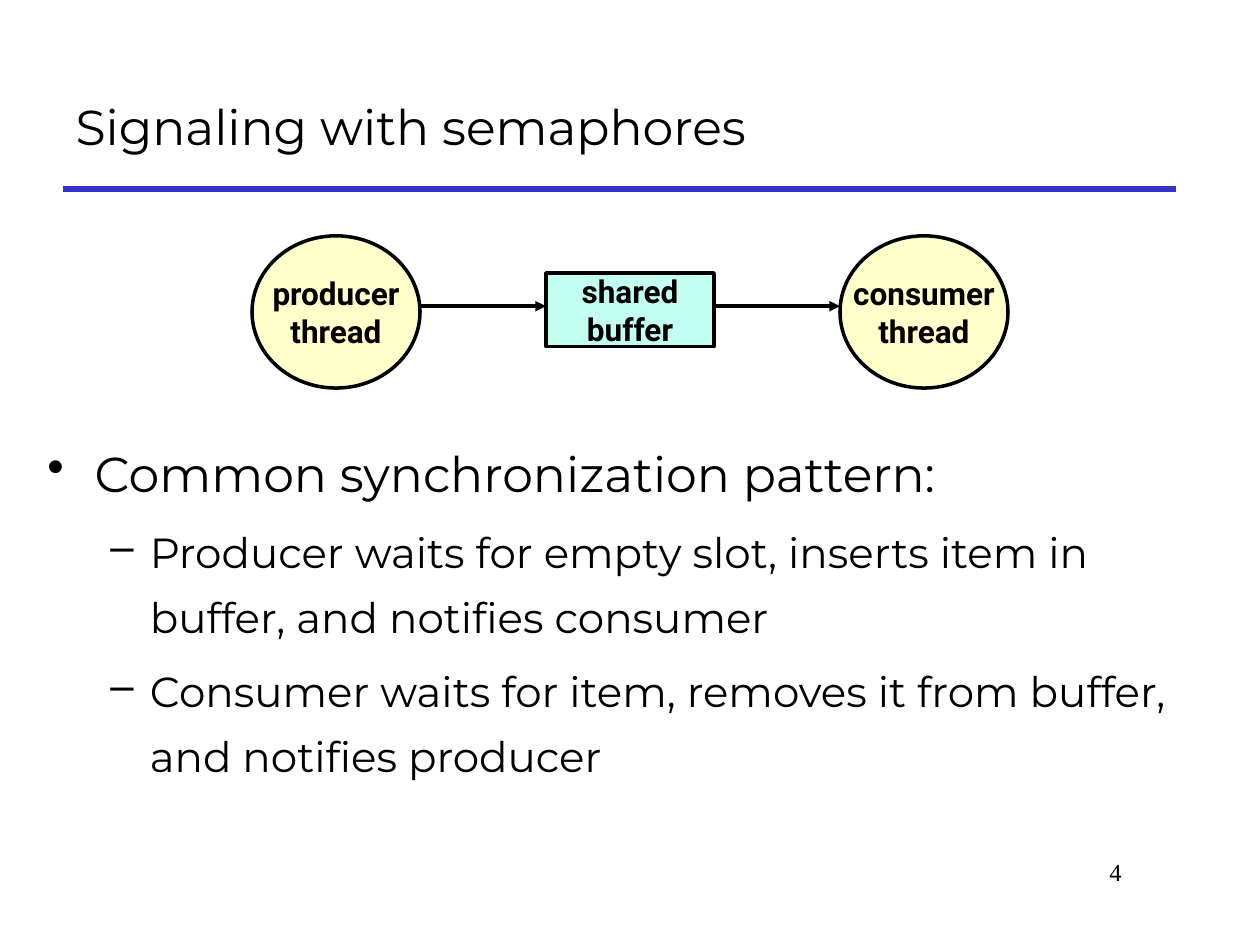
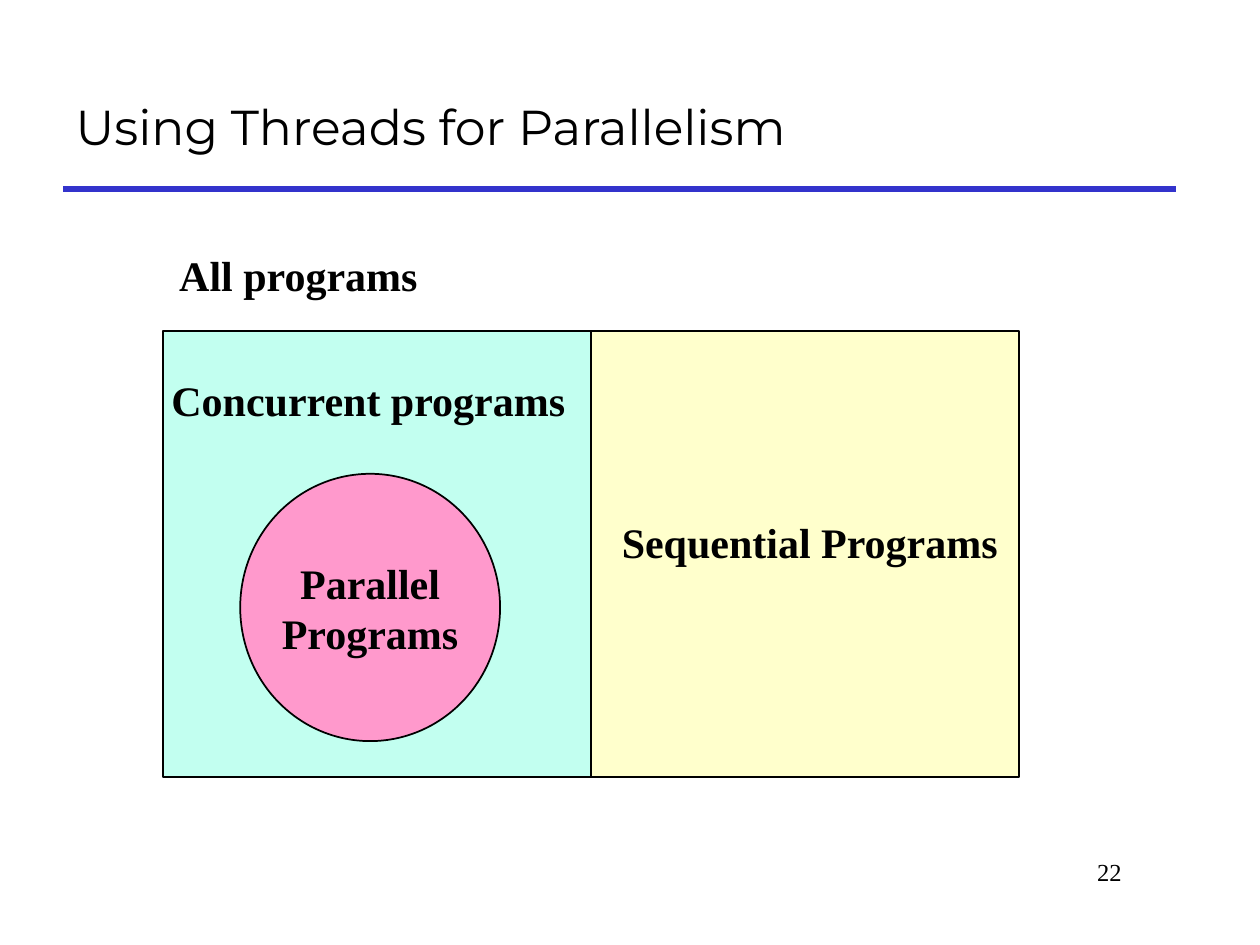
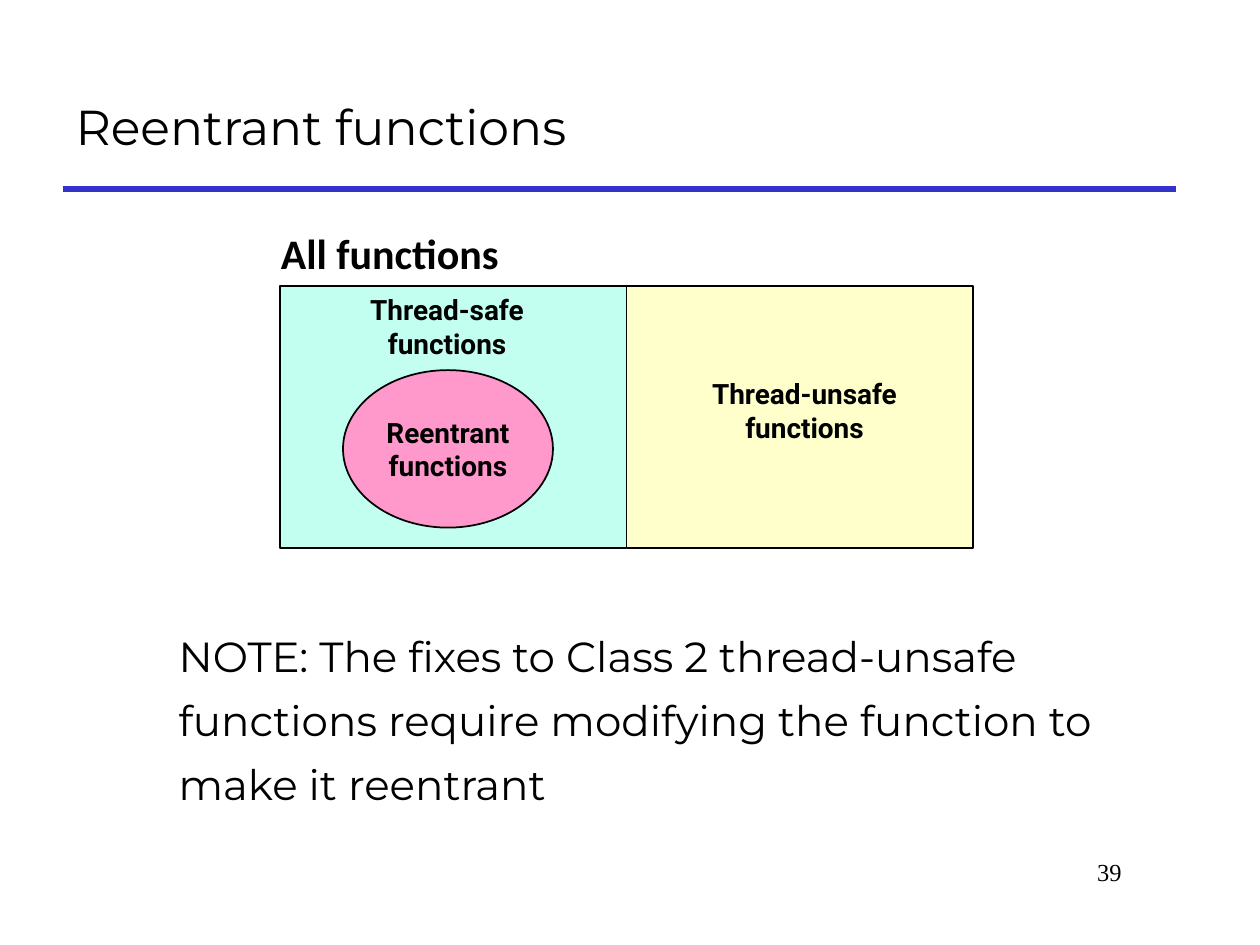
import pptx
import pptx.dml.color
import pptx.enum.shapes
import pptx.enum.text
import pptx.oxml
import pptx.oxml.ns
import pptx.util

Pt = pptx.util.Pt
RGB = pptx.dml.color.RGBColor.from_string
SHAPE = pptx.enum.shapes.MSO_SHAPE
ALIGN = pptx.enum.text.PP_ALIGN
MIDDLE = pptx.enum.text.MSO_ANCHOR.MIDDLE
A_NS = pptx.oxml.ns.nsdecls("a")


class Theme:
    ink = RGB("000000")
    rule = RGB("3333CC")
    yellow = RGB("FFFFCC")
    mint = RGB("C2FFF0")
    pink = RGB("FF99CC")
    heading_font = "Montserrat"
    label_font = "Roboto"
    serif_font = "Times New Roman"
    sans_font = "Calibri"
    heading_size = 28
    body_size = 24
    node_size = 18
    label_size = 16
    number_size = 14


def add_text(s, box, text, font, size, kind=None, fill=None, line=1,
             align=ALIGN.CENTER, bold=True, wrap=False):
    """Add a text box, or a filled and outlined shape when a kind is given."""
    box = [Pt(v) for v in box]
    if kind is None:
        sp = s.shapes.add_textbox(*box)
    else:
        sp = s.shapes.add_shape(kind, *box)
        sp.shadow.inherit = False
        sp.fill.solid()
        sp.fill.fore_color.rgb = fill
        sp.line.color.rgb = Theme.ink
        sp.line.width = Pt(line)
    tf = sp.text_frame
    tf.text = text
    tf.word_wrap = wrap
    if not wrap:
        tf.vertical_anchor = MIDDLE
    for p in tf.paragraphs:
        p.alignment = align
        for r in p.runs:
            r.font.name = font
            r.font.size = Pt(size)
            r.font.bold = bold
            r.font.color.rgb = Theme.ink
    return sp


def add_line(s, x1, x2, y, color, width, arrow=False):
    """Add a horizontal line, with an arrowhead at its end if asked."""
    cx = s.shapes.add_connector(pptx.enum.shapes.MSO_CONNECTOR.STRAIGHT,
                                Pt(x1), Pt(y), Pt(x2), Pt(y))
    cx.line.color.rgb = color
    cx.line.width = Pt(width)
    if arrow:
        cx.line._get_or_add_ln().append(
            pptx.oxml.parse_xml(f'<a:tailEnd {A_NS} type="triangle"/>'))
    cx._element.spPr.append(pptx.oxml.parse_xml(f"<a:effectLst {A_NS}/>"))


prs = pptx.Presentation()
prs.slide_width, prs.slide_height = Pt(720), Pt(540)

# Title, rule and number of every slide
slides = []
for title, number in [("Signaling with semaphores", "4"),
                      ("Using Threads for Parallelism", "22"),
                      ("Reentrant functions", "39")]:
    s = prs.slides.add_slide(prs.slide_layouts[5])
    sp = s.shapes.title
    sp.left, sp.top, sp.width, sp.height = Pt(36), Pt(36), Pt(636), Pt(72)
    tf = sp.text_frame
    tf.text = title
    tf.auto_size = pptx.enum.text.MSO_AUTO_SIZE.NONE
    tf.vertical_anchor = MIDDLE
    p = tf.paragraphs[0]
    p.alignment = ALIGN.LEFT
    r = p.runs[0]
    r.font.name = Theme.heading_font
    r.font.size = Pt(Theme.heading_size)
    r.font.color.rgb = Theme.ink
    add_line(s, 36, 672, 108, Theme.rule, 3)
    add_text(s, (546, 486, 102, 36), number, Theme.serif_font, Theme.number_size,
             align=ALIGN.RIGHT, bold=False, wrap=True)
    slides.append(s)
signaling, parallelism, reentrant = slides

# Slide 1: producer, buffer and consumer in a row
node_width, node_pitch, first_node = 96, 168, 144
nodes = [("producer\nthread", SHAPE.OVAL, Theme.yellow, 134.75, 87),
         ("shared\nbuffer", SHAPE.RECTANGLE, Theme.mint, 156, 42),
         ("consumer\nthread", SHAPE.OVAL, Theme.yellow, 134.75, 87)]
for i, (text, kind, fill, top, height) in enumerate(nodes):
    left = first_node + i * node_pitch
    sp = add_text(signaling, (left, top, node_width, height), text,
                  Theme.label_font, Theme.node_size, kind, fill, line=2)
    sp.text_frame.margin_top = sp.text_frame.margin_bottom = 0
    if i:
        add_line(signaling, left - node_pitch + node_width, left, 175,
                 Theme.ink, 2, arrow=True)

pattern = [
    "Common synchronization pattern:",
    "Producer waits for empty slot, inserts item in buffer, and notifies consumer",
    "Consumer waits for item, removes it from buffer, and notifies producer",
]
sp = add_text(signaling, (20, 240, 686, 258), "\n".join(pattern),
              Theme.heading_font, Theme.body_size,
              align=ALIGN.LEFT, bold=False, wrap=True)
for i, p in enumerate(sp.text_frame.paragraphs):
    level, size, bullet, margin, hang = (
        (1, Theme.body_size, "–", 58.5, 22.5) if i
        else (0, Theme.heading_size, "•", 27, 27))
    p.level = level
    p.line_spacing = 1.3
    p.space_before = Pt(0.2 * size)
    p.runs[0].font.size = Pt(size)
    pPr = p._p.get_or_add_pPr()
    pPr.set("marL", str(Pt(margin)))
    pPr.set("indent", str(-Pt(hang)))
    pPr.append(pptx.oxml.parse_xml(f'<a:buChar {A_NS} char="{bullet}"/>'))

# Slides 2 and 3: two adjoining panels, a subset oval and labels
serif = (Theme.serif_font, Theme.body_size)
sans = (Theme.sans_font, Theme.body_size)
label = (Theme.label_font, Theme.label_size)
diagrams = [
    (parallelism, (93, 189.25, 244.75, 255),
     ("Parallel\nPrograms", (137.25, 270.75, 148.5, 152.75), serif),
     [("All programs", (76.5, 126, 188, 62), serif),
      ("Concurrent programs", (61, 197.5, 299, 62), serif),
      ("Sequential Programs", (319.5, 278.75, 286.5, 62), serif)]),
    (reentrant, (160, 163.5, 198, 149.75),
     ("Reentrant\nfunctions", (196, 211.5, 120, 90), label),
     [("All functions", (152.5, 126, 140.5, 36.5), sans),
      ("Thread-safe\nfunctions", (203, 163.5, 105, 46), label),
      ("Thread-unsafe\nfunctions", (397.5, 211.5, 124.5, 46), label)]),
]
for s, (left, top, width, height), (text, box, style), labels in diagrams:
    for i, fill in enumerate((Theme.mint, Theme.yellow)):
        add_text(s, (left + i * width, top, width, height), "", *style,
                 SHAPE.RECTANGLE, fill)
    add_text(s, box, text, *style, SHAPE.OVAL, Theme.pink)
    for text, box, style in labels:
        add_text(s, box, text, *style)

note = ["NOTE: The fixes to Class 2 thread-unsafe",
        "functions require modifying the function to",
        "make it reentrant"]
sp = add_text(reentrant, (59, 354, 602, 114), "\n".join(note),
              Theme.heading_font, Theme.body_size,
              align=ALIGN.LEFT, bold=False, wrap=True)
for p in sp.text_frame.paragraphs:
    p.level = 1
    p.line_spacing = 1.1
    p.space_before = Pt(0.2 * Theme.body_size)
    pPr = p._p.get_or_add_pPr()
    pPr.set("marL", str(Pt(36)))
    pPr.set("indent", "0")

prs.save("out.pptx")
